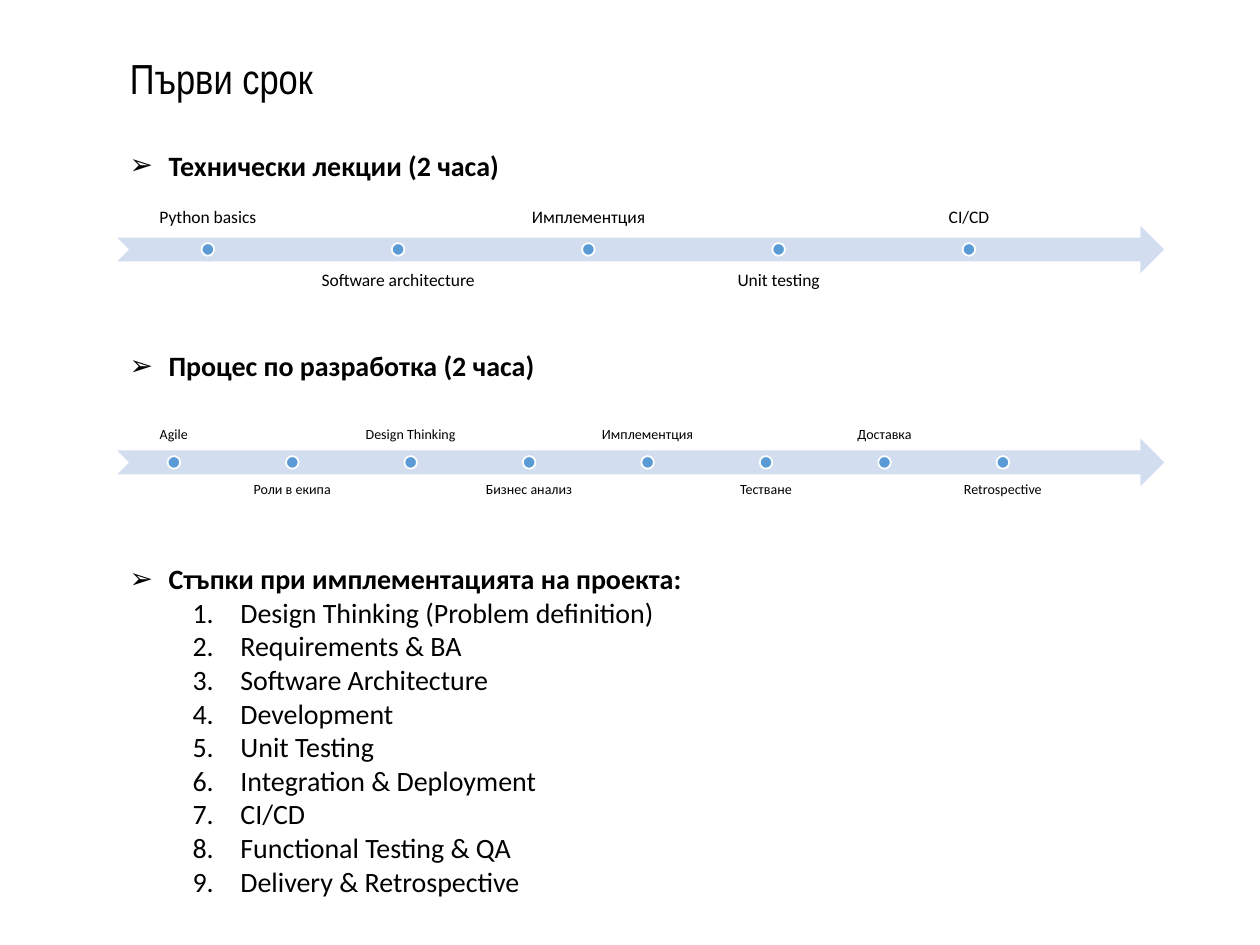
from lxml.etree import SubElement as Sub
from pptx import Presentation
from pptx.dml.color import RGBColor as Rgb
from pptx.enum.shapes import MSO_SHAPE as Shape
from pptx.enum.text import MSO_ANCHOR as Anchor, MSO_AUTO_SIZE as Fit, PP_ALIGN as Align
from pptx.oxml.ns import qn
from pptx.util import Inches, Pt

COLORS = {"text": "000000", "band": "D2DEEF", "dot": "5B9BD5", "edge": "FFFFFF"}
LEFT = 0.93

LECTURES = ["Python basics", "Software architecture", "Имплементция",
            "Unit testing", "CI/CD"]
PROCESS = ["Agile", "Роли в екипа", "Design Thinking", "Бизнес анализ",
           "Имплементция", "Тестване", "Доставка", "Retrospective"]
STEPS = ["Design Thinking (Problem definition)", "Requirements & BA",
         "Software Architecture", "Development", "Unit Testing",
         "Integration & Deployment", "CI/CD", "Functional Testing & QA",
         "Delivery & Retrospective"]


def box(*nums):
    return [Inches(n) for n in nums]


class Page:
    def __init__(self, slide, font="Calibri"):
        self.slide = slide
        self.font = font

    def style(self, para, size, bold=False, font=None):
        for run in para.runs:
            run.font.size = Pt(size)
            run.font.bold = bold
            run.font.name = font or self.font
            run.font.color.rgb = Rgb.from_string(COLORS["text"])

    def title(self, text, at):
        shape = self.slide.shapes.title
        shape.left, shape.top, shape.width, shape.height = box(*at)
        frame = shape.text_frame
        frame.text = text
        frame.vertical_anchor = Anchor.TOP
        frame.auto_size = Fit.SHAPE_TO_FIT_TEXT
        para = frame.paragraphs[0]
        para.alignment = Align.LEFT
        self.style(para, 24, font="Arial Narrow")

    def bullet(self, para, indent, hang, tag, **attrs):
        props = para._p.get_or_add_pPr()
        props.set("marL", str(Inches(indent)))
        props.set("indent", str(-Inches(hang)))
        Sub(props, qn("a:buFont"), typeface="Arial" if tag == "a:buChar" else "+mj-lt")
        Sub(props, qn(tag), **attrs)

    def topic(self, head, at, steps=()):
        """Add an arrow-bulleted heading with optional numbered steps."""
        frame = self.slide.shapes.add_textbox(*box(*at)).text_frame
        frame.word_wrap = True
        frame.auto_size = Fit.SHAPE_TO_FIT_TEXT
        frame.text = "\n".join([head, *steps])
        first, *rest = frame.paragraphs
        self.style(first, 16, bold=True)
        self.bullet(first, 0.31, 0.31, "a:buChar", char="➢")
        for para in rest:
            para.level = 1
            self.style(para, 16)
            self.bullet(para, 0.88, 0.38, "a:buAutoNum", type="arabicPeriod")

    def shape(self, group, kind, at, fill, edge=None):
        shape = group.shapes.add_shape(kind, *box(*at))
        shape.shadow.inherit = False
        shape.fill.solid()
        shape.fill.fore_color.rgb = Rgb.from_string(COLORS[fill])
        if edge:
            shape.line.color.rgb = Rgb.from_string(COLORS[edge])
            shape.line.width = Pt(1)
        else:
            shape.line.fill.background()

    def label(self, group, text, at, size, inset, anchor):
        frame = group.shapes.add_textbox(*box(*at)).text_frame
        frame.word_wrap = True
        frame.vertical_anchor = anchor
        frame.margin_left = frame.margin_right = Inches(inset)
        frame.margin_top = frame.margin_bottom = Inches(inset)
        frame.text = text
        para = frame.paragraphs[0]
        para.alignment = Align.CENTER
        para.line_spacing = 0.9
        self.style(para, size)

    def timeline(self, names, top, width, step, size, inset):
        """Add a band arrow with dots, labelled above and below in turn."""
        group = self.slide.shapes.add_group_shape()
        high, dot = 0.38, 0.1
        self.shape(group, Shape.NOTCHED_RIGHT_ARROW, (LEFT, top, 8.31, high), "band")
        for i, name in enumerate(names):
            left = LEFT + i * step
            shift, anchor = (0.29, Anchor.TOP) if i % 2 else (-0.29, Anchor.BOTTOM)
            self.label(group, name, (left, top + shift, width, high), size, inset, anchor)
            spot = (left + (width - dot) / 2, top + (high - dot) / 2, dot, dot)
            self.shape(group, Shape.OVAL, spot, "dot", "edge")


def main():
    deck = Presentation()
    deck.slide_width, deck.slide_height = box(10, 7.5)
    page = Page(deck.slides.add_slide(deck.slide_layouts[5]))
    page.title("Първи срок", (LEFT, 0.37, 8.72, 0.5))
    page.topic("Технически лекции (2 часа)", (LEFT, 1.13, 8.42, 0.37))
    page.timeline(LECTURES, 1.79, width=1.44, step=1.51, size=10, inset=0.08)
    page.topic("Процес по разработка (2 часа)", (LEFT, 2.72, 8.42, 0.37))
    page.timeline(PROCESS, 3.48, width=0.9, step=0.94, size=8, inset=0.06)
    page.topic("Стъпки при имплементацията на проекта:",
               (LEFT, 4.41, 8.72, 2.79), STEPS)
    deck.save("out.pptx")


if __name__ == "__main__":
    main()
